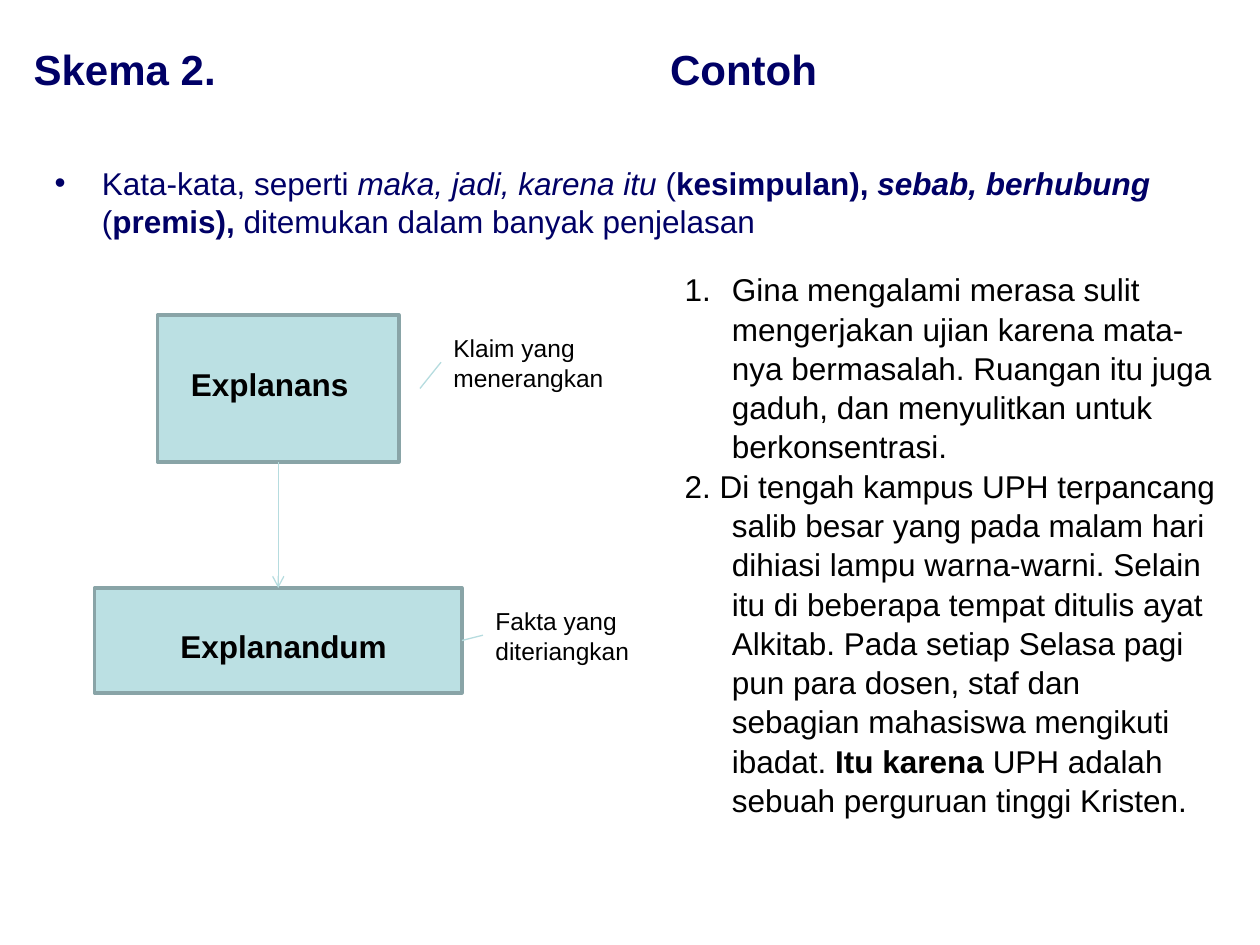
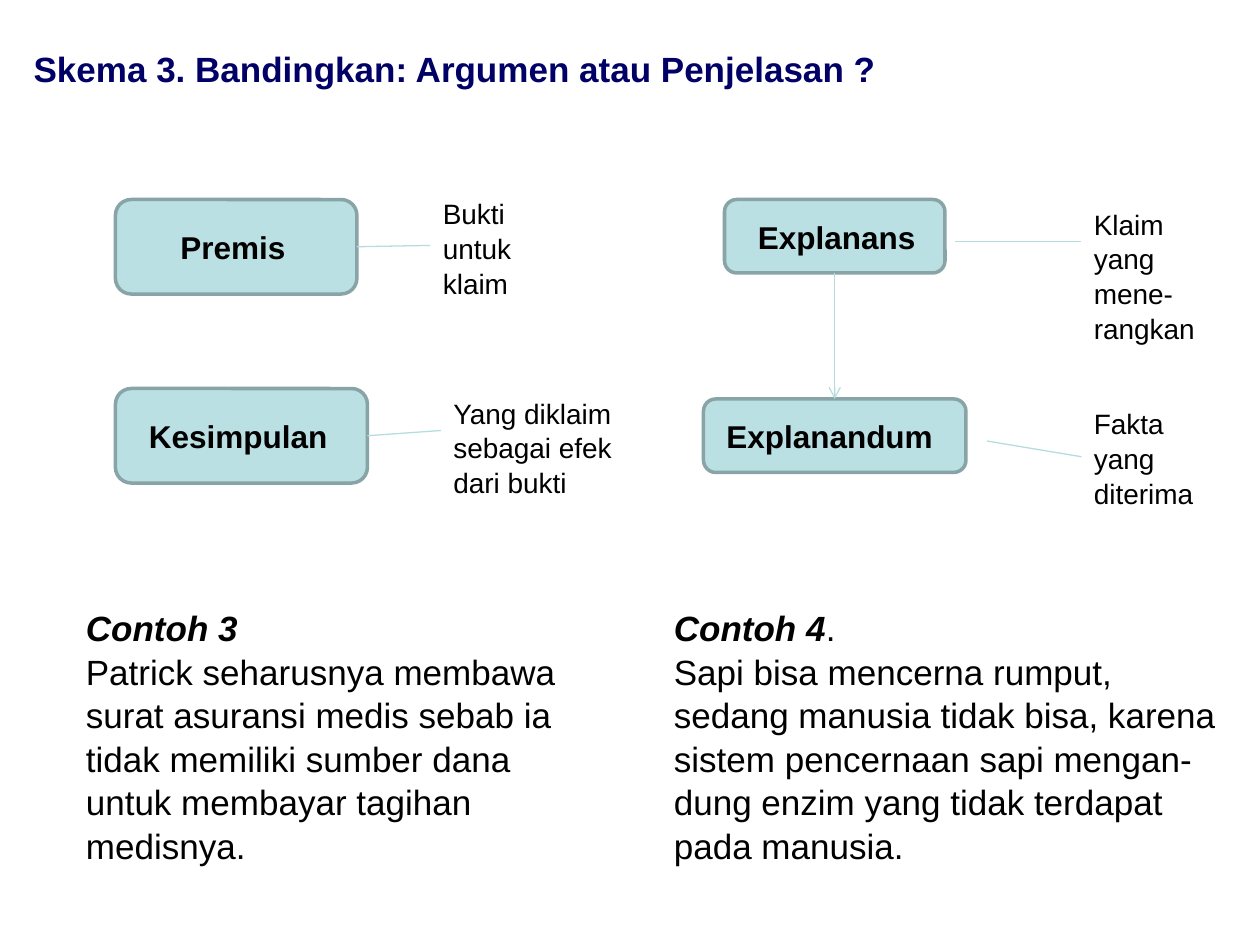
from typing import NamedTuple

from lxml.etree import SubElement
from pptx import Presentation
from pptx.dml.color import RGBColor
from pptx.enum.shapes import MSO_CONNECTOR, MSO_SHAPE
from pptx.enum.text import MSO_ANCHOR, MSO_AUTO_SIZE, PP_ALIGN
from pptx.oxml.ns import qn
from pptx.util import Pt

# Shared scale, font and colours
PX = 9525  # EMU per px, 96 px to the inch
FONT = "Arial"
NAVY, BLACK = "000066", "000000"
BOX_FILL, BOX_EDGE, LINK = "BBE0E3", "89A4A7", "B6DCDF"
HANGING = 36
LABEL_HEIGHT = 38
TITLE_AREA = (16, 16, 744, 72)


class Run(NamedTuple):
    text: str
    bold: bool = False
    italic: bool = False


class Node(NamedTuple):
    label: str
    box: tuple[int, int, int, int]
    label_at: tuple[int, int, int]  # left, top, width


class Note(NamedTuple):
    text: str
    area: tuple[int, int, int, int]


class Link(NamedTuple):
    start: tuple[int, int]
    end: tuple[int, int]
    arrow: bool = False


def px(*lengths: int) -> list[int]:
    return [length * PX for length in lengths]


def color(hex_value: str) -> RGBColor:
    return RGBColor.from_string(hex_value)


def write_text(frame, paragraphs, *, size: int, hex_color: str = BLACK,
               bullets=None, tab: int = 0, spacing: float = 1.04) -> None:
    """Write paragraphs of runs; bullets holds one (tag, attributes) per paragraph."""
    frame.word_wrap = True
    frame.auto_size = MSO_AUTO_SIZE.NONE
    for index, runs in enumerate(paragraphs):
        paragraph = frame.add_paragraph() if index else frame.paragraphs[0]
        properties = paragraph._p.get_or_add_pPr()
        if bullets:
            tag, attributes = bullets[index]
            properties.set("marL", str(HANGING * PX))
            properties.set("indent", str(-HANGING * PX))
            SubElement(properties, qn(tag), attributes)
        if tab:
            tabs = SubElement(properties, qn("a:tabLst"))
            SubElement(tabs, qn("a:tab"), {"pos": str(tab * PX), "algn": "l"})
        paragraph.alignment = PP_ALIGN.LEFT
        paragraph.space_before = Pt(0)
        paragraph.line_spacing = spacing
        for part in runs:
            run = paragraph.add_run()
            run.text = part.text
            run.font.name = FONT
            run.font.size = Pt(size)
            run.font.bold = part.bold
            run.font.italic = part.italic
            run.font.color.rgb = color(hex_color)


def place(placeholder, area: tuple[int, int, int, int]):
    (placeholder.left, placeholder.top,
     placeholder.width, placeholder.height) = px(*area)
    return placeholder.text_frame


def add_title(slide, text: str, size: int, tab: int = 0) -> None:
    frame = place(slide.shapes.title, TITLE_AREA)
    frame.vertical_anchor = MSO_ANCHOR.MIDDLE
    write_text(frame, [[Run(text, bold=True)]], size=size, hex_color=NAVY,
               tab=tab, spacing=1.0)


def add_text(slide, area: tuple[int, int, int, int], paragraphs, size: int) -> None:
    frame = slide.shapes.add_textbox(*px(*area)).text_frame
    write_text(frame, paragraphs, size=size)


def add_node(slide, node: Node, preset: MSO_SHAPE) -> None:
    box = slide.shapes.add_shape(preset, *px(*node.box))
    box.shadow.inherit = False
    box.fill.solid()
    box.fill.fore_color.rgb = color(BOX_FILL)
    box.line.color.rgb = color(BOX_EDGE)
    box.line.width = Pt(2)
    add_text(slide, (*node.label_at, LABEL_HEIGHT), [[Run(node.label, bold=True)]], 18)


def add_link(slide, link: Link) -> None:
    line = slide.shapes.add_connector(MSO_CONNECTOR.STRAIGHT,
                                      *px(*link.start, *link.end))
    line.line.color.rgb = color(LINK)
    line.line.width = Pt(0.75)
    if link.arrow:
        SubElement(line.line._get_or_add_ln(), qn("a:tailEnd"), {"type": "arrow"})
    SubElement(line._element.spPr, qn("a:effectLst"))


def add_diagram(slide, nodes: list[Node], links: list[Link], notes: list[Note],
                preset: MSO_SHAPE, note_size: int) -> None:
    for node in nodes:
        add_node(slide, node, preset)
    for link in links:
        add_link(slide, link)
    for note in notes:
        add_text(slide, note.area, [[Run(note.text)]], note_size)


def build_scheme_2(deck) -> None:
    slide = deck.slides.add_slide(deck.slide_layouts.get_by_name("Two Content"))
    add_title(slide, "Skema 2.\tContoh", 24, tab=485)

    # Indicator words
    indicators = [
        Run("Kata-kata, seperti "),
        Run("maka, jadi, karena itu ", italic=True),
        Run("("),
        Run("kesimpulan), ", bold=True),
        Run("sebab, berhubung ", bold=True, italic=True),
        Run("("),
        Run("premis), ", bold=True),
        Run("ditemukan dalam banyak penjelasan"),
    ]
    write_text(place(slide.placeholders[1], (32, 120, 904, 72)), [indicators],
               size=18, hex_color=NAVY, bullets=[("a:buChar", {"char": "•"})],
               spacing=1.0)

    # Examples
    examples = [
        [Run("Gina mengalami merasa sulit mengerjakan ujian karena mata-nya "
             "bermasalah. Ruangan itu juga gaduh, dan menyulitkan untuk "
             "berkonsentrasi.")],
        [Run("2. Di tengah kampus UPH terpancang salib besar yang pada malam hari "
             "dihiasi lampu warna-warni. Selain itu di beberapa tempat ditulis ayat "
             "Alkitab. Pada setiap Selasa pagi pun para dosen, staf dan sebagian "
             "mahasiswa mengikuti ibadat. "),
         Run("Itu karena ", bold=True),
         Run("UPH adalah sebuah perguruan tinggi Kristen.")],
    ]
    write_text(place(slide.placeholders[2], (512, 200, 424, 413)), examples, size=18,
               bullets=[("a:buAutoNum", {"type": "arabicPeriod"}), ("a:buNone", {})])

    # Explanation scheme
    nodes = [
        Node("Explanans", (120, 240, 184, 112), (136, 272, 144)),
        Node("Explanandum", (72, 448, 280, 80), (128, 472, 184)),
    ]
    links = [
        Link((212, 352), (212, 448), arrow=True),
        Link((320, 296), (336, 276)),
        Link((352, 488), (368, 484)),
    ]
    notes = [
        Note("Klaim yang menerangkan", (336, 248, 136, 55)),
        Note("Fakta yang diteriangkan", (368, 456, 128, 55)),
    ]
    add_diagram(slide, nodes, links, notes, MSO_SHAPE.RECTANGLE, 14)


def build_scheme_3(deck) -> None:
    slide = deck.slides.add_slide(deck.slide_layouts.get_by_name("Title Only"))
    add_title(slide, "Skema 3. Bandingkan: Argumen atau Penjelasan ?", 20)

    # Argument on the left, explanation on the right
    nodes = [
        Node("Premis", (88, 152, 184, 72), (128, 168, 104)),
        Node("Kesimpulan", (88, 296, 192, 72), (104, 312, 160)),
        Node("Explanans", (552, 152, 168, 56), (568, 160, 144)),
        Node("Explanandum", (536, 304, 200, 56), (544, 312, 184)),
    ]
    links = [
        Link((272, 188), (328, 187)),
        Link((280, 332), (336, 328)),
        Link((636, 208), (636, 304), arrow=True),
        Link((728, 184), (824, 184)),
        Link((752, 336), (824, 348)),
    ]
    notes = [
        Note("Bukti untuk klaim", (328, 144, 120, 86)),
        Note("Yang diklaim sebagai efek dari bukti", (336, 296, 144, 86)),
        Note("Klaim yang mene-rangkan", (824, 152, 104, 112)),
        Note("Fakta yang diterima", (824, 304, 112, 86)),
    ]
    add_diagram(slide, nodes, links, notes, MSO_SHAPE.ROUNDED_RECTANGLE, 16)

    # Examples
    add_text(slide, (56, 456, 392, 202), [
        [Run("Contoh 3", bold=True, italic=True)],
        [Run("Patrick seharusnya membawa surat asuransi medis sebab ia tidak "
             "memiliki sumber dana untuk membayar tagihan medisnya.")],
    ], 20)
    add_text(slide, (504, 456, 432, 202), [
        [Run("Contoh 4", bold=True, italic=True), Run(".")],
        [Run("Sapi bisa mencerna rumput, sedang manusia tidak bisa, karena sistem "
             "pencernaan sapi mengan-dung enzim yang tidak terdapat pada manusia.")],
    ], 20)


def main() -> None:
    deck = Presentation()
    deck.slide_width, deck.slide_height = px(960, 720)
    build_scheme_2(deck)
    build_scheme_3(deck)
    deck.save("out.pptx")


if __name__ == "__main__":
    main()
